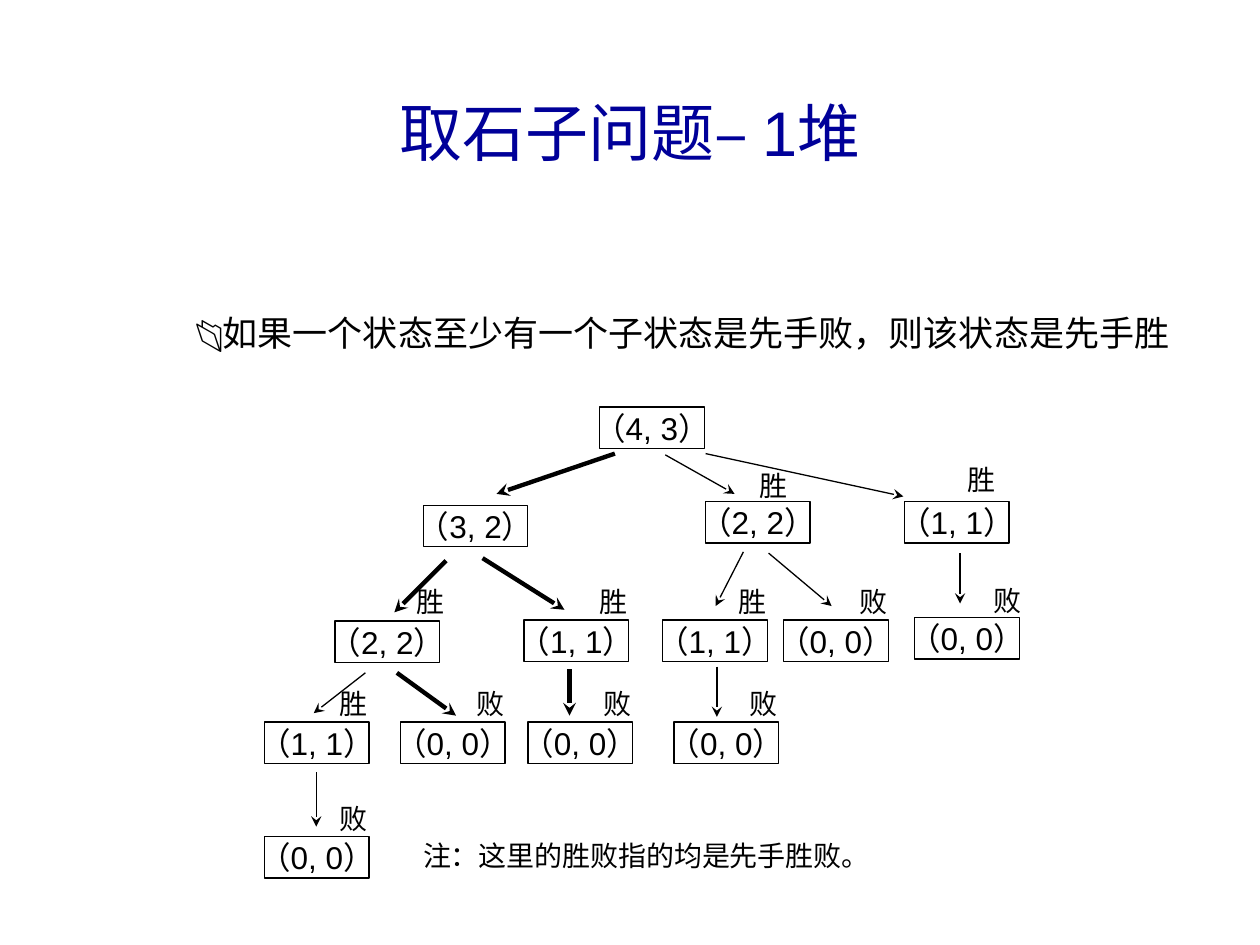
from lxml import etree
from pptx import Presentation
from pptx.dml.color import RGBColor
from pptx.enum.shapes import MSO_CONNECTOR, MSO_SHAPE
from pptx.enum.text import MSO_ANCHOR, MSO_AUTO_SIZE, PP_ALIGN
from pptx.oxml.ns import qn
from pptx.util import Inches, Pt

STRAIGHT = MSO_CONNECTOR.STRAIGHT
RECTANGLE = MSO_SHAPE.RECTANGLE
MIDDLE = MSO_ANCHOR.MIDDLE
GROW = MSO_AUTO_SIZE.SHAPE_TO_FIT_TEXT
LEFT, CENTER = PP_ALIGN.LEFT, PP_ALIGN.CENTER

BLACK = RGBColor(0x00, 0x00, 0x00)
NAVY = RGBColor(0x00, 0x00, 0x99)
SANS, SERIF = "Arial", "Times New Roman"

WIN, LOSE = "胜", "败"
NODE_WIDTH, NODE_HEIGHT = 0.83, 0.33
LABEL_WIDTH, LINE_HEIGHT = 0.33, 0.37
LABEL_OFFSET = (0.5, -0.33)
THIN, THICK = 0.75, 2.5

# state, left, top, outcome, offset of the outcome from the node
STATES = [
    ("4, 3", 4.76, 3.23, None, None),
    ("3, 2", 3.36, 4.01, None, None),
    ("2, 2", 5.6, 3.98, WIN, (0.33, -0.31)),
    ("1, 1", 7.18, 3.98, WIN, (0.4, -0.36)),
    ("2, 2", 2.66, 4.93, WIN, (0.55, -0.34)),
    ("1, 1", 4.16, 4.92, WIN, LABEL_OFFSET),
    ("1, 1", 5.26, 4.92, WIN, LABEL_OFFSET),
    ("0, 0", 6.22, 4.92, LOSE, LABEL_OFFSET),
    ("0, 0", 7.26, 4.9, LOSE, (0.53, -0.32)),
    ("1, 1", 2.1, 5.73, WIN, LABEL_OFFSET),
    ("0, 0", 3.18, 5.73, LOSE, LABEL_OFFSET),
    ("0, 0", 4.19, 5.73, LOSE, LABEL_OFFSET),
    ("0, 0", 5.35, 5.73, LOSE, LABEL_OFFSET),
    ("0, 0", 2.1, 6.64, LOSE, LABEL_OFFSET),
]

# start x, start y, end x, end y, weight
MOVES = [
    (4.88, 3.6, 3.94, 3.92, THICK),
    (5.28, 3.61, 5.83, 3.92, THIN),
    (5.6, 3.6, 7.17, 3.94, THIN),
    (3.54, 4.45, 3.13, 4.86, THICK),
    (3.83, 4.43, 4.48, 4.84, THICK),
    (5.9, 4.38, 5.68, 4.81, THIN),
    (6.1, 4.39, 6.6, 4.81, THIN),
    (7.62, 4.39, 7.62, 4.79, THIN),
    (2.9, 5.34, 2.49, 5.66, THIN),
    (3.15, 5.34, 3.62, 5.68, THICK),
    (4.52, 5.31, 4.52, 5.68, THICK),
    (5.69, 5.29, 5.69, 5.69, THIN),
    (2.51, 6.13, 2.51, 6.56, THIN),
]


def write(frame, text, size, font, color=BLACK, align=LEFT):
    frame.text = text
    paragraph = frame.paragraphs[0]
    paragraph.alignment = align
    run_font = paragraph.runs[0].font
    run_font.size = Pt(size)
    run_font.name = font
    run_font.color.rgb = color


def add_text(slide, text, left, top, width, height, size, font, **style):
    box = slide.shapes.add_textbox(
        Inches(left), Inches(top), Inches(width), Inches(height))
    frame = box.text_frame
    frame.word_wrap = True
    frame.auto_size = GROW
    write(frame, text, size, font, **style)
    return frame


def add_title(slide, text):
    frame = add_text(slide, text, 0.33, 0.42, 9.34, 1.25, 36, SANS,
                     color=NAVY, align=CENTER)
    frame.auto_size = MSO_AUTO_SIZE.NONE
    frame.vertical_anchor = MIDDLE


def add_move(slide, x1, y1, x2, y2, weight):
    """Draw the arrow from a state to one of its successors."""
    arrow = slide.shapes.add_connector(
        STRAIGHT, Inches(x1), Inches(y1), Inches(x2), Inches(y2))
    arrow.line.color.rgb = BLACK
    arrow.line.width = Pt(weight)
    outline = arrow.line._get_or_add_ln()
    etree.SubElement(outline, qn("a:tailEnd"), type="stealth")
    etree.SubElement(arrow._element.spPr, qn("a:effectLst"))


def add_state(slide, state, left, top):
    node = slide.shapes.add_shape(
        RECTANGLE, Inches(left), Inches(top),
        Inches(NODE_WIDTH), Inches(NODE_HEIGHT))
    node.shadow.inherit = False
    node.fill.background()
    node.line.color.rgb = BLACK
    node.line.width = Pt(THIN)
    frame = node.text_frame
    frame.word_wrap = False
    frame.vertical_anchor = MIDDLE
    frame.margin_left = frame.margin_right = Inches(0.08)
    frame.margin_top = frame.margin_bottom = Inches(0.04)
    write(frame, f"（{state}）", 18, SANS, align=CENTER)


def add_outcome(slide, outcome, left, top):
    add_text(slide, outcome, left, top, LABEL_WIDTH, LINE_HEIGHT, 16, SERIF)


def main():
    prs = Presentation()
    prs.slide_width, prs.slide_height = Inches(10), Inches(7.5)
    slide = prs.slides.add_slide(prs.slide_layouts[6])

    add_title(slide, "取石子问题– 1堆")
    for move in MOVES:
        add_move(slide, *move)
    for state, left, top, outcome, offset in STATES:
        add_state(slide, state, left, top)
        if outcome:
            add_outcome(slide, outcome, left + offset[0], top + offset[1])
    add_text(slide, "注：这里的胜败指的均是先手胜败。",
             3.26, 6.61, 3.67, LINE_HEIGHT, 16, SERIF)
    add_text(slide, "📂如果一个状态至少有一个子状态是先手败，则该状态是先手胜",
             1.33, 2.42, 8.17, 0.44, 20, SANS, align=CENTER)

    prs.save("out.pptx")


if __name__ == "__main__":
    main()
